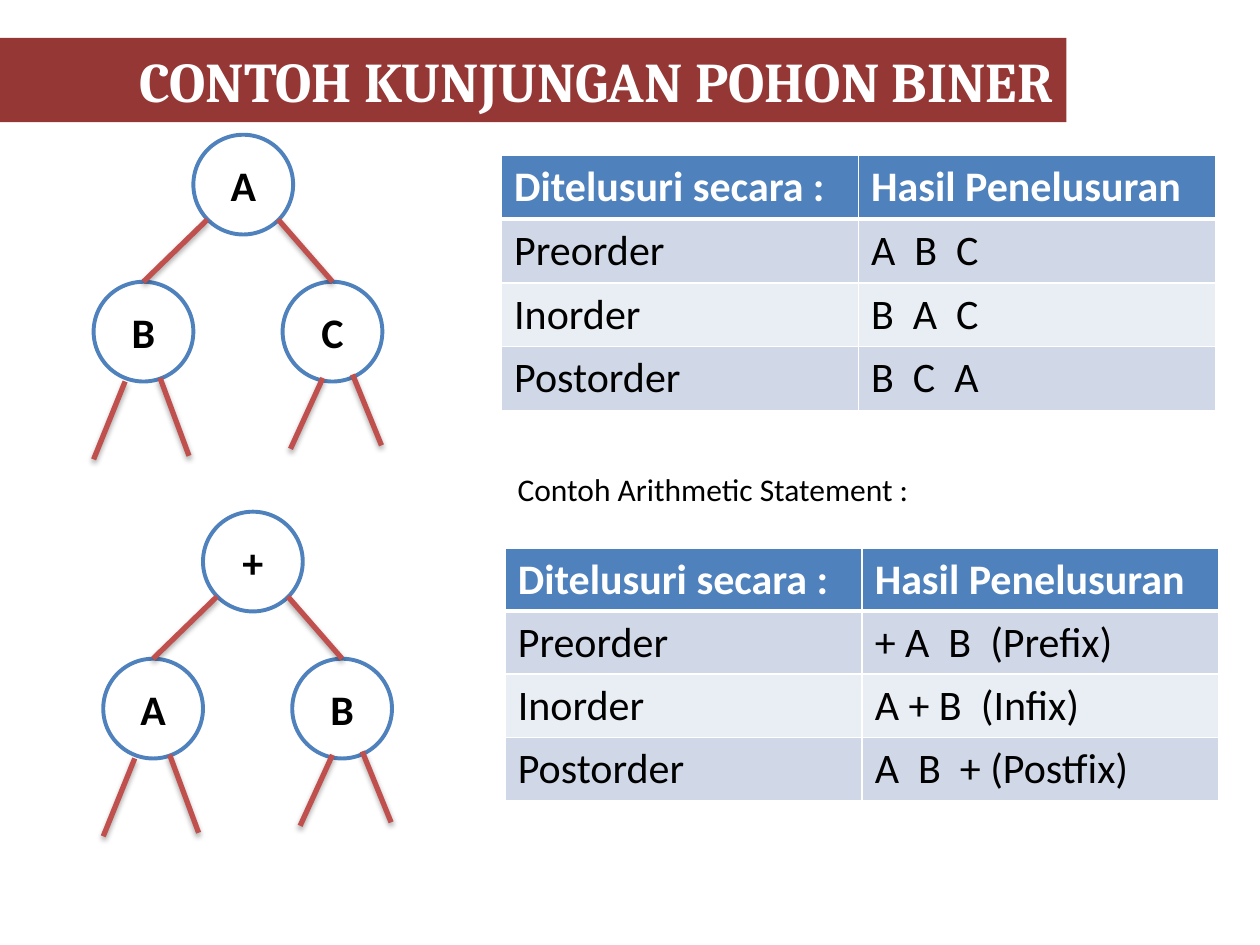
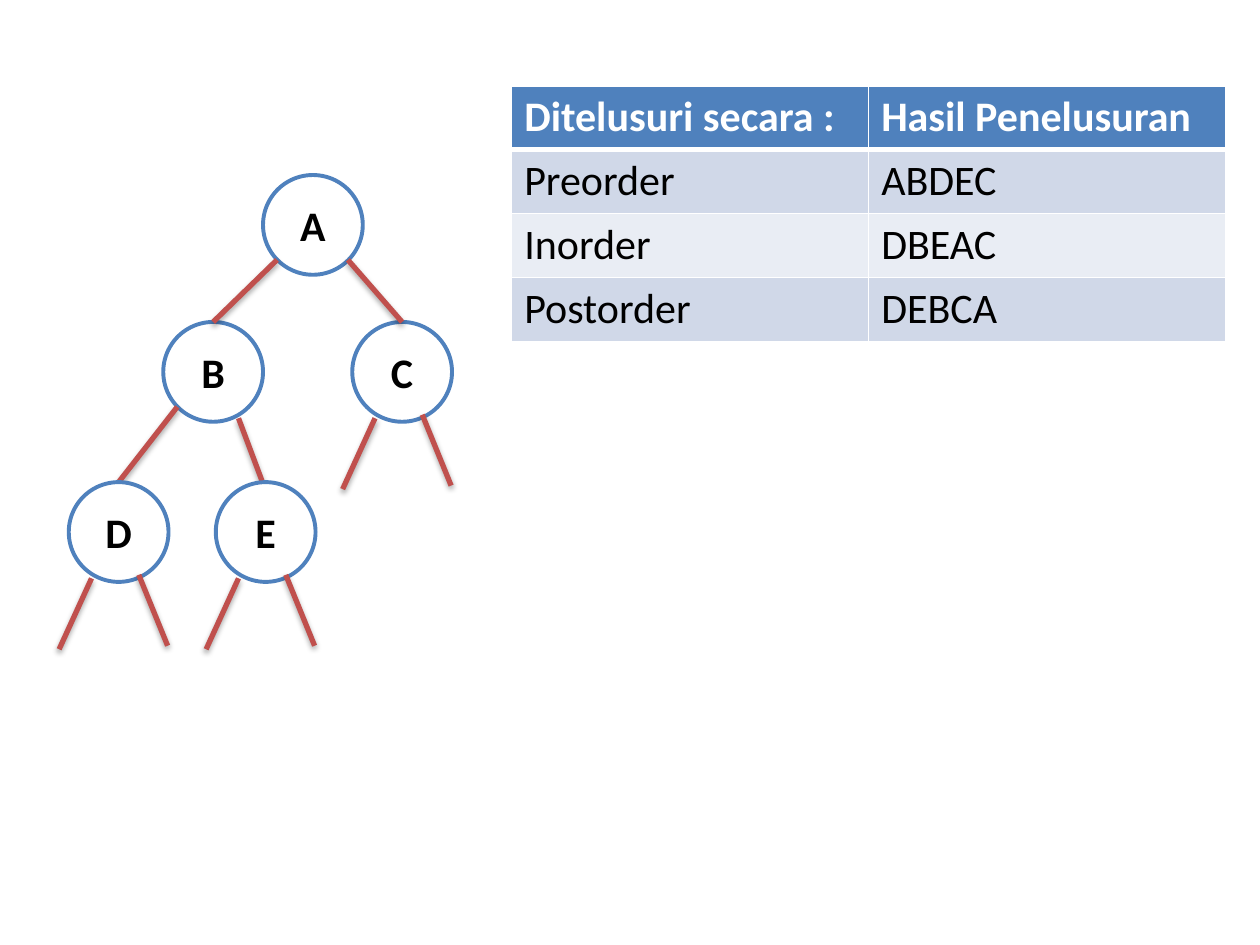
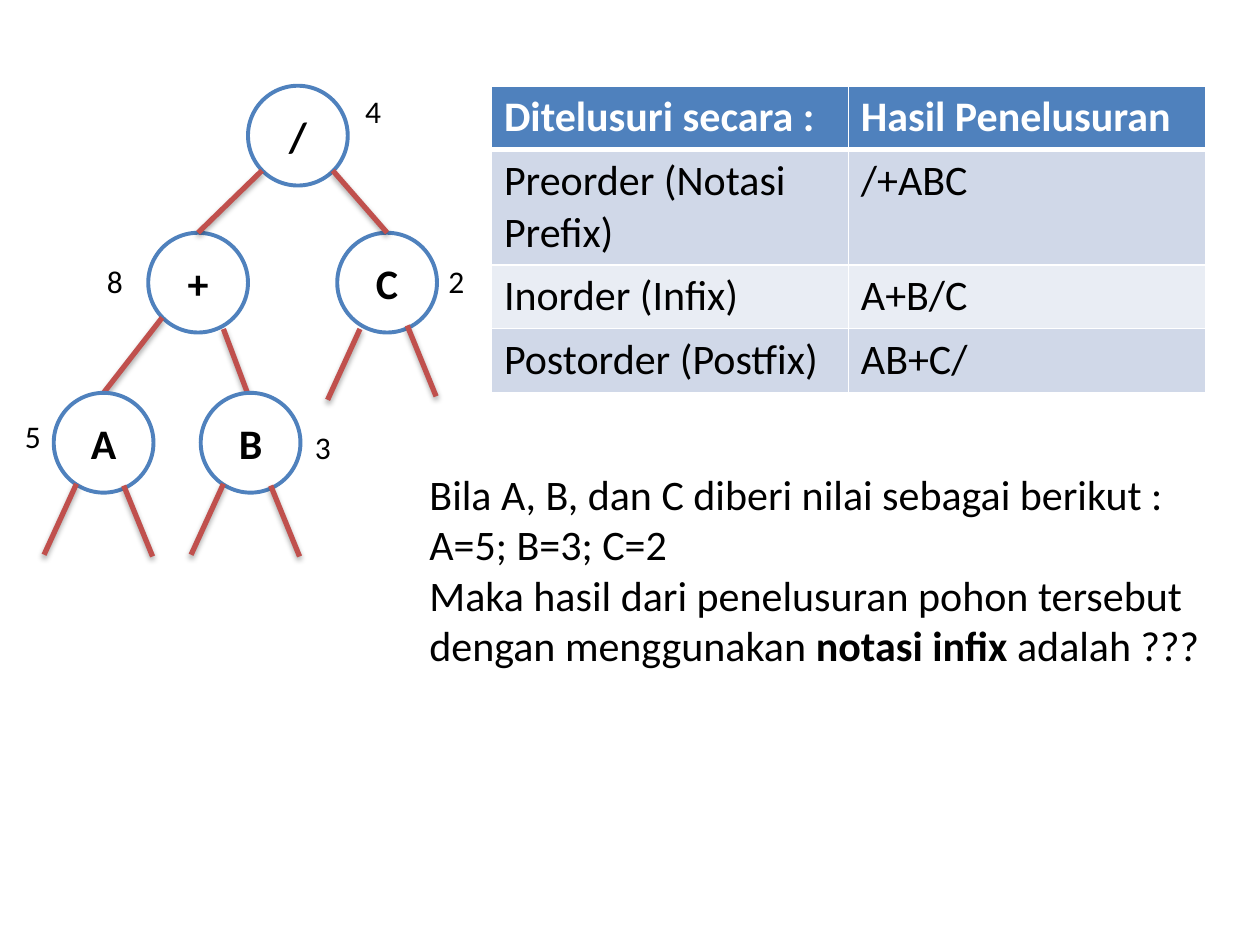
"""Builds three slides on binary tree traversal, with trees, result tables and notes."""
from dataclasses import dataclass

from lxml import etree
from pptx import Presentation
from pptx import util as u
from pptx.dml.color import RGBColor
from pptx.enum import shapes, text
from pptx.oxml import ns

Pt = u.Pt


@dataclass(frozen=True)
class Theme:
    """Colours, fonts and type sizes of the deck."""
    white: str = "FFFFFF"
    ink: str = "000000"
    band: str = "953735"
    blue: str = "4F81BD"
    branch: str = "C0504D"
    odd_row: str = "D0D8E8"
    even_row: str = "E9EDF4"
    body_font: str = "Calibri"
    title_font: str = "Cambria"
    title_size: float = 32
    body_size: float = 24
    small_size: float = 18


THEME = Theme()
NODE = 57
NODE_PLACES = [(0, 0), (-57, 84), (51, 84), (-111, 175.5), (-27, 175.5)]
LINKS = {1: (0, 8), 2: (0, 48.5), 3: (1, 8)}
LINK_TOP = 48.5
STUBS = {
    "left": (13, 55, -18.5, 40.5),
    "left_high": (13, 52, -18.5, 40.5),
    "left_inner": (23, 55, -18.5, 40.5),
    "left_long": (18, 57, -18, 44.5),
    "right": (40, 53, 16.5, 40.5),
    "right_long": (38, 55, 16.5, 44.5),
    "right_outer": (43, 55, 16.5, 44),
}
SMALL_TREE = {1: ("left_long", "right_long"), 2: ("left_inner", "right")}
UPPER_STUBS = {1: ("right_outer",), 2: ("left", "right")}
HEADINGS = ("Ditelusuri secara :", "Hasil Penelusuran")
ORDERS = ("Preorder", "Inorder", "Postorder")


def rgb(colour):
    """Turn a hex string into a colour value."""
    return RGBColor.from_string(colour)


def assign(target, values):
    """Set each attribute named in values on target."""
    for name, value in values.items():
        setattr(target, name, value)


def add_xml(parent, tag, **attributes):
    """Append a DrawingML child element and return it."""
    child = etree.SubElement(parent, ns.qn(tag))
    for name, value in attributes.items():
        child.set(name, str(value))
    return child


class Deck:
    """Holds the theme and the current slide, and draws each kind of element."""

    def __init__(self, theme):
        """Open an empty 10 by 7.5 inch deck."""
        self.theme = theme
        self.show = Presentation()
        assign(self.show, {"slide_width": Pt(720), "slide_height": Pt(540)})
        self.slide = None

    def new_slide(self):
        """Start a blank slide."""
        self.slide = self.show.slides.add_slide(self.show.slide_layouts[6])

    def add_words(self, paragraph, words, **style):
        """Add one run of text in the body style, changed by style."""
        run = paragraph.add_run()
        run.text = words
        colour = style.pop("colour", self.theme.ink)
        size = style.pop("size", self.theme.body_size)
        assign(run.font, {"name": self.theme.body_font, "size": Pt(size), "bold": False, **style})
        run.font.color.rgb = rgb(colour)

    def panel(self, kind, box, fill, words, align, **style):
        """Draw a filled shape with one line of text and return it."""
        shape = self.slide.shapes.add_shape(kind, *map(Pt, box))
        shape.shadow.inherit = False
        shape.fill.solid()
        shape.fill.fore_color.rgb = rgb(fill)
        shape.line.fill.background()
        assign(shape.text_frame, {"vertical_anchor": text.MSO_ANCHOR.MIDDLE, "word_wrap": True})
        paragraph = shape.text_frame.paragraphs[0]
        paragraph.alignment = align
        self.add_words(paragraph, words, bold=True, **style)
        return shape

    def title(self, words):
        """Draw the title band that runs in from the left edge."""
        self.panel(shapes.MSO_SHAPE.RECTANGLE, (-54, 21.6, 663.4, 48.2), self.theme.band, words,
                   text.PP_ALIGN.RIGHT, name=self.theme.title_font,
                   size=self.theme.title_size, colour=self.theme.white)

    def node(self, left, top, label):
        """Draw one round tree node."""
        circle = self.panel(shapes.MSO_SHAPE.OVAL, (left, top, NODE, NODE), self.theme.white,
                            label, text.PP_ALIGN.CENTER)
        circle.line.color.rgb = rgb(self.theme.blue)
        circle.line.width = Pt(2.25)

    def branch(self, *ends):
        """Draw one branch with a soft shadow below it."""
        line = self.slide.shapes.add_connector(shapes.MSO_CONNECTOR.STRAIGHT, *map(Pt, ends))
        line.line.color.rgb = rgb(self.theme.branch)
        line.line.width = Pt(3)
        effects = add_xml(line._element.spPr, "a:effectLst")
        shadow = add_xml(effects, "a:outerShdw", blurRad=Pt(3.15), dist=Pt(1.8),
                         dir=5400000, rotWithShape=0)
        add_xml(add_xml(shadow, "a:srgbClr", val=self.theme.ink), "a:alpha", val=35000)

    def tree(self, left, top, labels, stubs):
        """Draw a tree from its root place, upper levels first."""
        places = [(left + x, top + y) for x, y in NODE_PLACES[:len(labels)]]
        for level in (range(3), range(3, len(labels))):
            for index in level:
                self.node(*places[index], labels[index])
            for child, (parent, start) in LINKS.items():
                if parent in level and child < len(labels):
                    x, y = places[parent]
                    self.branch(x + start, y + LINK_TOP,
                                places[child][0] + NODE / 2, places[child][1])
            for index in level:
                for stub in stubs.get(index, ()):
                    x, y, run, drop = STUBS[stub]
                    x, y = x + places[index][0], y + places[index][1]
                    self.branch(x, y, x + run, y + drop)

    def borders(self, cell, top, bottom):
        """Give a cell white borders of the set widths."""
        props = cell._tc.get_or_add_tcPr()
        widths = {"a:lnL": 1, "a:lnR": 1, "a:lnT": top, "a:lnB": bottom}
        for place, (tag, width) in enumerate(widths.items()):
            edge = add_xml(props, tag, w=Pt(width))
            add_xml(add_xml(edge, "a:solidFill"), "a:srgbClr", val=self.theme.white)
            props.insert(place, edge)

    def results(self, left, top, orders, visits, heights=(36,) * 4):
        """Draw a table of traversal orders and their results."""
        look = self.theme
        rows = [HEADINGS, *zip(orders, visits)]
        frame = self.slide.shapes.add_table(len(rows), 2, Pt(left), Pt(top),
                                            Pt(408), Pt(sum(heights)))
        for row, words in enumerate(rows):
            frame.table.rows[row].height = Pt(heights[row])
            header = row == 0
            fill = look.blue if header else look.odd_row if row % 2 else look.even_row
            for column, entry in enumerate(words):
                cell = frame.table.cell(row, column)
                cell.fill.solid()
                cell.fill.fore_color.rgb = rgb(fill)
                self.borders(cell, 3 if row == 1 else 1, 3 if header else 1)
                self.add_words(cell.text_frame.paragraphs[0], entry, bold=header,
                               colour=look.white if header else look.ink)

    def note(self, box, paragraphs, wrap=False, **style):
        """Draw a text box of paragraphs, each a list of (words, bold)."""
        frame = self.slide.shapes.add_textbox(*map(Pt, box)).text_frame
        frame.word_wrap = wrap
        for index, runs in enumerate(paragraphs):
            paragraph = frame.add_paragraph() if index else frame.paragraphs[0]
            for words, bold in runs:
                self.add_words(paragraph, words, bold=bold, **style)

    def caption(self, left, top, width, words):
        """Draw one small line of text."""
        self.note((left, top, width, 29), [[(words, False)]], size=self.theme.small_size)


deck = Deck(THEME)

deck.new_slide()
deck.title("CONTOH KUNJUNGAN POHON BINER")
deck.results(286.6, 88.6, ORDERS, ("A  B  C", "B  A  C", "B  C  A"))
deck.caption(288.7, 265, 240.5, "Contoh Arithmetic Statement :")
deck.tree(110.5, 77, "ABC", SMALL_TREE)
deck.tree(116, 292.4, "+AB", SMALL_TREE)
deck.results(288.7, 313.2, ORDERS, ("+ A  B  (Prefix)", "A + B  (Infix)", "A  B  + (Postfix)"))

deck.new_slide()
deck.results(292.4, 49, ORDERS, ("ABDEC", "DBEAC", "DEBCA"))
deck.tree(150.3, 100, "ABCDE", {**UPPER_STUBS, 3: ("left", "right"), 4: ("left", "right")})

deck.new_slide()
deck.results(280.8, 49, ("Preorder (Notasi Prefix)", "Inorder (Infix)", "Postorder (Postfix)"),
             ("/+ABC", "A+B/C", "AB+C/"), (36, 65.8, 36, 36))
deck.tree(141.7, 49, "/+CAB",
          {**UPPER_STUBS, 3: ("left_high", "right"), 4: ("left_high", "right")})
deck.note((238.3, 264.2, 462.2, 181.4), [
    [("Bila A, B, dan C diberi nilai sebagai berikut :", False)],
    [("A=5; B=3; C=2", False)],
    [("Maka hasil dari penelusuran pohon tersebut dengan menggunakan ", False),
     ("notasi infix ", True), ("adalah ???", False)],
], wrap=True)
for value, left, top in (("5", 7.2, 234.7), ("3", 172.8, 241.2), ("8", 54, 146.2),
                         ("2", 249.1, 146.2), ("4", 201.6, 49)):
    deck.caption(left, top, 23.8, value)

deck.show.save("out.pptx")
